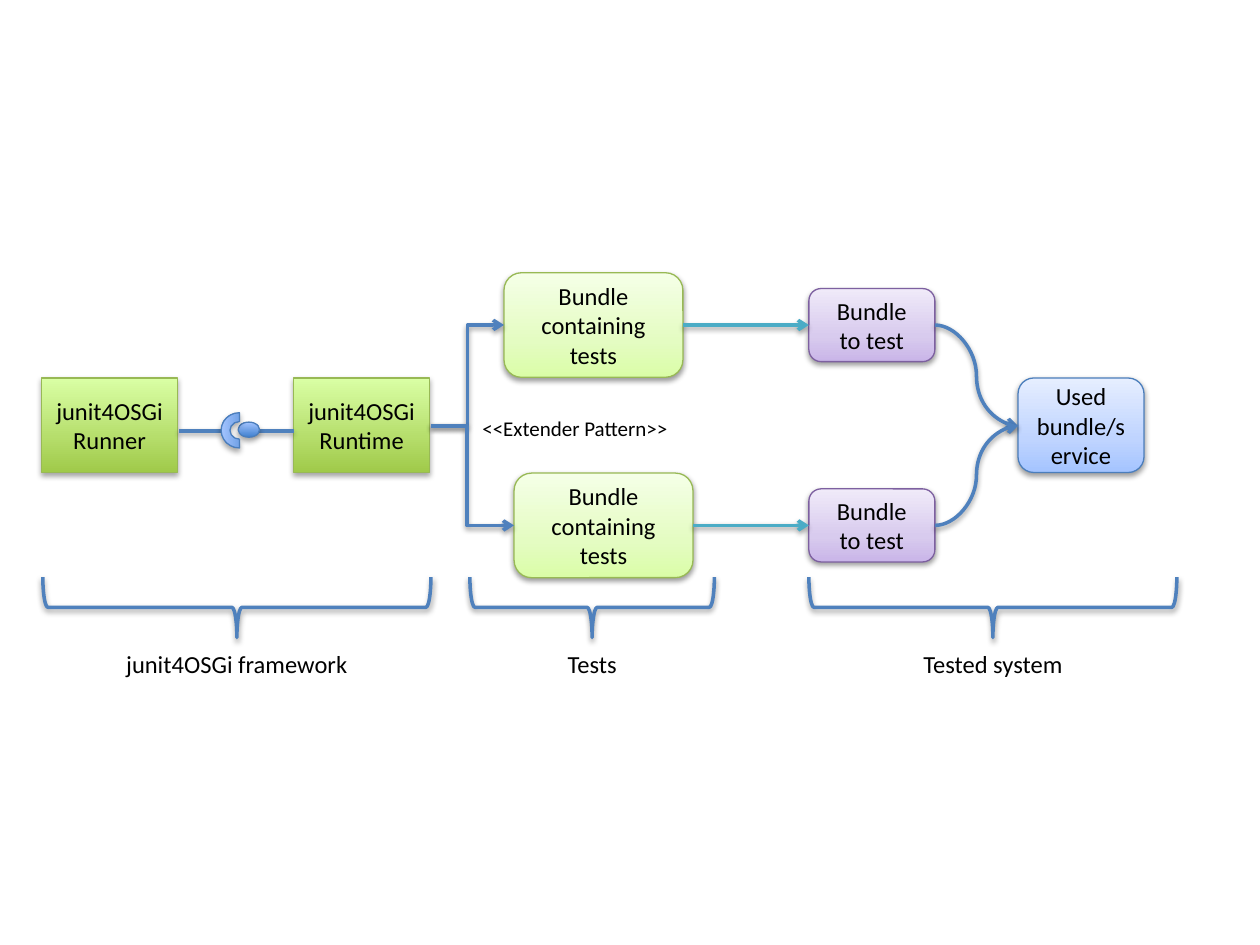
"""Build the junit4OSGi test architecture slide."""
from copy import deepcopy

from lxml.etree import SubElement
from pptx import Presentation
from pptx.dml.color import RGBColor
from pptx.enum.shapes import MSO_CONNECTOR, MSO_SHAPE
from pptx.enum.text import MSO_ANCHOR, MSO_AUTO_SIZE, PP_ALIGN
from pptx.oxml.ns import qn
from pptx.util import Inches, Pt

COLORS = {
    "text": "000000", "blue": "4F81BD", "teal": "4BACC6",
    "green_edge": "98B955", "purple_edge": "7D60A0", "blue_edge": "4B7EBC",
}
GRADIENTS = {
    "tests": [(0, "DAFDA7"), (0.35, "E4FCC2"), (1, "F5FFE7")],
    "tested": [(0, "C9B5E8"), (0.35, "D8CBEE"), (1, "F0EAF9")],
    "used": [(0, "A4C4FF"), (0.35, "BFD4FF"), (1, "E6EEFF")],
    "framework": [(0, "A0CA4A"), (1, "DAFFA5")],
    "service": [(0, "3F80CE"), (1, "A4C4FF")],
}
SOFT = {"dist": 20000, "alpha": 38000}
STRONG = {"dist": 23000, "alpha": 35000}


def rgb(name):
    return RGBColor.from_string(COLORS[name])


def add_shadow(sp, dist, alpha):
    spPr = sp._element.spPr
    effects = spPr.find(qn("a:effectLst"))
    if effects is None:
        effects = SubElement(spPr, qn("a:effectLst"))
    shadow = SubElement(effects, qn("a:outerShdw"), blurRad="40000",
                        dist=str(dist), dir="5400000", rotWithShape="0")
    color = SubElement(shadow, qn("a:srgbClr"), val="000000")
    SubElement(color, qn("a:alpha"), val=str(alpha))


def set_gradient(sp, stops):
    sp.fill.gradient()
    sp.fill.gradient_angle = 90
    gs_list = sp._element.spPr.find(qn("a:gradFill")).find(qn("a:gsLst"))
    for _ in stops[2:]:
        gs_list.append(deepcopy(gs_list[0]))
    for stop, (position, color) in zip(sp.fill.gradient_stops, stops):
        stop.position = position
        stop.color.rgb = RGBColor.from_string(color)


def set_text(tf, text, size, align):
    tf.text = text
    font = {"name": "Calibri", "size": Pt(size)}
    for p in tf.paragraphs:
        p.alignment = align
        for r in p.runs:
            for key, value in font.items():
                setattr(r.font, key, value)
            r.font.color.rgb = rgb("text")


def add_node(s, kind, box, gradient, edge, shadow, text="", rotation=0):
    sp = s.shapes.add_shape(kind, *map(Inches, box))
    sp.shadow.inherit = False
    sp.rotation = rotation
    set_gradient(sp, GRADIENTS[gradient])
    sp.line.color.rgb = rgb(edge)
    sp.line.width = Pt(0.75)
    add_shadow(sp, **shadow)
    if text:
        sp.text_frame.word_wrap = True
        sp.text_frame.vertical_anchor = MSO_ANCHOR.MIDDLE
        set_text(sp.text_frame, text, 14, PP_ALIGN.CENTER)


def add_link(s, kind, start, end, color="blue", arrow=True, bend=None):
    cx = s.shapes.add_connector(kind, *map(Inches, start + end))
    cx.line.color.rgb = rgb(color)
    cx.line.width = Pt(2)
    if arrow:
        SubElement(cx.line._get_or_add_ln(), qn("a:tailEnd"), type="arrow")
    if bend:
        guides = cx._element.spPr.find(qn("a:prstGeom")).find(qn("a:avLst"))
        SubElement(guides, qn("a:gd"), name="adj1", fmla=f"val {bend}")
    add_shadow(cx, **SOFT)


def add_label(s, box, text, size, align):
    tf = s.shapes.add_textbox(*map(Inches, box)).text_frame
    tf.word_wrap = False
    tf.auto_size = MSO_AUTO_SIZE.SHAPE_TO_FIT_TEXT
    set_text(tf, text, size, align)


def add_group_brace(s, center, span, text, label_width):
    depth, middle = 0.48, 4.82
    sp = s.shapes.add_shape(
        MSO_SHAPE.LEFT_BRACE, Inches(center - depth / 2),
        Inches(middle - span / 2), Inches(depth), Inches(span))
    sp.rotation = 270
    sp.shadow.inherit = False
    sp.fill.background()
    sp.line.color.rgb = rgb("blue")
    sp.line.width = Pt(2)
    add_shadow(sp, **SOFT)
    add_label(s, (center - label_width / 2, 5.1, label_width, 0.34), text, 14,
              PP_ALIGN.CENTER)


def main():
    prs = Presentation()
    prs.slide_width, prs.slide_height = Inches(10), Inches(7.5)
    s = prs.slides.add_slide(prs.slide_layouts[6])
    rounded = MSO_SHAPE.ROUNDED_RECTANGLE
    curve, elbow = MSO_CONNECTOR.CURVE, MSO_CONNECTOR.ELBOW
    straight = MSO_CONNECTOR.STRAIGHT
    axis = 3.38
    rows = [(4, 2.58, None), (4.08, 4.17, 43200)]

    for left, y, _ in rows:
        add_node(s, rounded, (left, y - 0.415, 1.42, 0.83), "tests",
                 "green_edge", SOFT, "Bundle\ncontaining tests")
        add_node(s, rounded, (6.42, y - 0.29, 1, 0.58), "tested",
                 "purple_edge", SOFT, "Bundle to test")
    add_node(s, rounded, (8.08, 3, 1, 0.75), "used", "blue_edge", SOFT,
             "Used bundle/service")
    for left, y, _ in rows:
        add_link(s, curve, (7.42, y), (8.08, axis))
        add_link(s, curve, (left + 1.42, y), (6.42, y), "teal")

    for left, role in [(2.33, "Runtime"), (0.33, "Runner")]:
        add_node(s, MSO_SHAPE.RECTANGLE, (left, 3, 1.08, 0.75), "framework",
                 "green_edge", STRONG, f"junit4OSGi\v{role}")
    add_link(s, straight, (2.33, 3.42), (2, 3.42), arrow=False)
    add_node(s, MSO_SHAPE.OVAL, (1.89, 3.35, 0.17, 0.12), "service",
             "blue_edge", STRONG)
    add_link(s, straight, (1.75, 3.42), (1.42, 3.42), arrow=False)
    add_node(s, MSO_SHAPE.BLOCK_ARC, (1.76, 3.27, 0.28, 0.29), "service",
             "blue_edge", STRONG, rotation=270)

    for left, y, bend in rows:
        add_link(s, elbow, (3.42, axis), (left, y), bend=bend)
    add_label(s, (3.73, 3.25, 1.69, 0.3), "<<Extender Pattern>>", 12,
              PP_ALIGN.LEFT)

    for center, span, text, width in [
            (7.88, 2.92, "Tested system", 1.31),
            (4.7, 1.94, "Tests", 0.6),
            (1.88, 3.08, "junit4OSGi framework", 1.97)]:
        add_group_brace(s, center, span, text, width)
    prs.save("out.pptx")


main()
